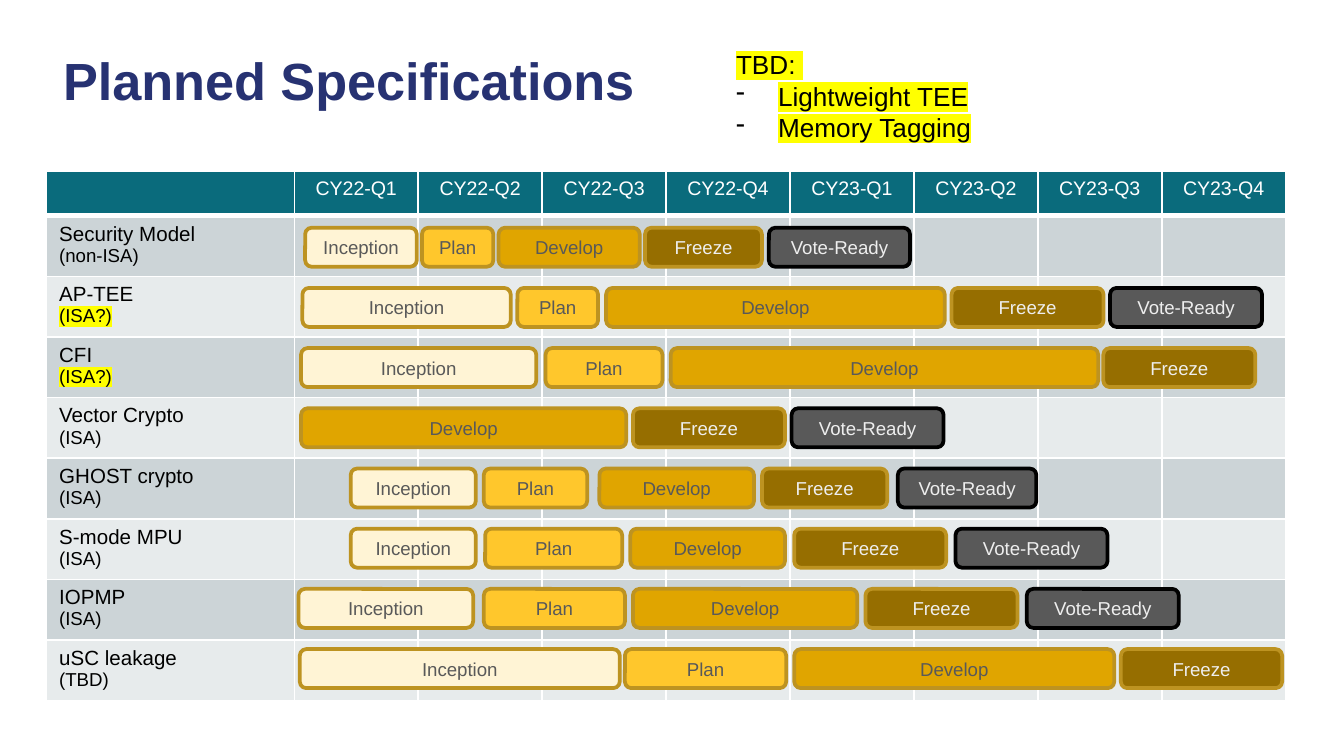
from pptx import Presentation
from pptx.dml.color import RGBColor
from pptx.enum.shapes import MSO_SHAPE as Shape
from pptx.enum.text import MSO_ANCHOR as Anchor, PP_ALIGN as Align
from pptx.oxml.ns import qn
from pptx.util import Pt
from lxml.etree import SubElement

QUARTERS = [f"CY{year}-Q{quarter}" for year in (22, 23) for quarter in range(1, 5)]
LABEL_WIDTH, QUARTER_WIDTH = 133.2, 66.4
HEADER_HEIGHT, ROW_HEIGHT = 24.2, 31.9
BAR_OFFSET, BAR_PITCH, BAR_HEIGHT = 30.5, 32.25, 20.9

STAGES = {
    "Inception": ("FFF4D5", "BD9321", "595959"),
    "Plan": ("FFC72C", "BD9321", "595959"),
    "Develop": ("E0A500", "BD9321", "595959"),
    "Freeze": ("966E00", "BD9321", "EEEEEE"),
    "Vote-Ready": ("595959", "000000", "EEEEEE"),
}

SPECIFICATIONS = [
    ("Security Model", "(non-ISA)", [
        ("Inception", 5.8, 59.8), ("Plan", 68.4, 38.2), ("Develop", 109.4, 75.6),
        ("Freeze", 187.9, 62.6), ("Vote-Ready", 254.2, 75.6)]),
    ("AP-TEE", "(ISA?)", [
        ("Inception", 4.3, 111.6), ("Plan", 119.5, 43.2), ("Develop", 167, 181.4),
        ("Freeze", 352.1, 81.4), ("Vote-Ready", 437, 81.4)]),
    ("CFI", "(ISA?)", [
        ("Inception", 3.6, 126), ("Plan", 134.6, 62.6), ("Develop", 201.6, 229),
        ("Freeze", 433.4, 81.4)]),
    ("Vector Crypto", "(ISA)", [
        ("Develop", 3.6, 174.2), ("Freeze", 181.4, 81.4), ("Vote-Ready", 266.4, 81.4)]),
    ("GHOST crypto", "(ISA)", [
        ("Inception", 30.2, 67), ("Plan", 101.5, 55.4), ("Develop", 163.4, 82.8),
        ("Freeze", 250.6, 67), ("Vote-Ready", 323.3, 74.2)]),
    ("S-mode MPU", "(ISA)", [
        ("Inception", 30.2, 67), ("Plan", 102.2, 73.4), ("Develop", 180, 82.8),
        ("Freeze", 267.8, 81.4), ("Vote-Ready", 354.2, 81.4)]),
    ("IOPMP", "(ISA)", [
        ("Inception", 2.2, 93.6), ("Plan", 101.5, 75.6), ("Develop", 181.4, 120.2),
        ("Freeze", 306, 81.4), ("Vote-Ready", 392.4, 81.4)]),
    ("uSC leakage", "(TBD)", [
        ("Inception", 2.9, 171.4), ("Plan", 177.1, 86.4), ("Develop", 267.8, 171.4),
        ("Freeze", 442.8, 86.4)]),
]


def color(value):
    """Turn a hex string into a colour."""
    return RGBColor.from_string(value)


def write(paragraph, text, size, ink="000000", bold=False, align=None, highlight=None):
    """Add formatted text to a paragraph."""
    run = paragraph.add_run()
    run.text = text
    run.font.size = Pt(size)
    run.font.bold = bold
    run.font.color.rgb = color(ink)
    if highlight:
        mark = SubElement(run.font._element, qn("a:highlight"))
        SubElement(mark, qn("a:srgbClr"), val=highlight)
    run.font.name = "Arial"
    if align is not None:
        paragraph.alignment = align


def add_dash(paragraph, indent):
    """Give a paragraph a hanging dash bullet."""
    properties = paragraph._p.get_or_add_pPr()
    properties.set("marL", str(Pt(indent)))
    properties.set("indent", str(-Pt(indent)))
    ink = SubElement(properties, qn("a:buClr"))
    SubElement(ink, qn("a:srgbClr"), val="000000")
    SubElement(properties, qn("a:buChar"), char="-")


def style_cell(cell, fill, bottom=1):
    """Set white borders and a solid fill on a cell."""
    properties = cell._tc.get_or_add_tcPr()
    for side, width in (("L", 1), ("R", 1), ("T", 1), ("B", bottom)):
        border = SubElement(properties, qn(f"a:ln{side}"), w=str(Pt(width)))
        paint = SubElement(border, qn("a:solidFill"))
        SubElement(paint, qn("a:srgbClr"), val="FFFFFF")
    cell.fill.solid()
    cell.fill.fore_color.rgb = color(fill)


def add_title(slide, left, top, width, height):
    """Place the slide title."""
    frame = slide.shapes.add_textbox(Pt(left), Pt(top), Pt(width), Pt(height)).text_frame
    frame.word_wrap = True
    frame.vertical_anchor = Anchor.MIDDLE
    frame.margin_left = frame.margin_right = Pt(5)
    frame.margin_top = frame.margin_bottom = Pt(3)
    heading = frame.paragraphs[0]
    heading.line_spacing = 0.95
    write(heading, "Planned Specifications", 28, "273272", bold=True)


def add_pending(slide, left, top, width, height):
    """Place the list of undecided topics."""
    frame = slide.shapes.add_textbox(Pt(left), Pt(top), Pt(width), Pt(height)).text_frame
    frame.word_wrap = True
    write(frame.paragraphs[0], "TBD: ", 14, highlight="FFFF00")
    for topic in ("Lightweight TEE", "Memory Tagging"):
        item = frame.add_paragraph()
        add_dash(item, 22.5)
        write(item, topic, 14, highlight="FFFF00")


def add_grid(slide, left, top, width, height):
    """Place the table of specifications and quarters."""
    grid = slide.shapes.add_table(len(SPECIFICATIONS) + 1, len(QUARTERS) + 1,
                                  Pt(left), Pt(top), Pt(width), Pt(height)).table
    for index, column in enumerate(grid.columns):
        column.width = Pt(QUARTER_WIDTH if index else LABEL_WIDTH)
    for index, row in enumerate(grid.rows):
        row.height = Pt(ROW_HEIGHT if index else HEADER_HEIGHT)
        fill = "0A6B7C" if index == 0 else "CCD4D7" if index % 2 else "E7EBEC"
        for cell in row.cells:
            style_cell(cell, fill, bottom=1 if index else 3)

    corner = grid.cell(0, 0)
    corner.margin_top = corner.margin_bottom = 0
    for index, quarter in enumerate(QUARTERS, 1):
        write(grid.cell(0, index).text_frame.paragraphs[0], quarter, 10.5, "FFFFFF",
              align=Align.CENTER)
    for index, (name, status, _) in enumerate(SPECIFICATIONS, 1):
        label = grid.cell(index, 0).text_frame
        write(label.paragraphs[0], name, 11)
        write(label.add_paragraph(), status, 10,
              highlight="FFFF00" if "?" in status else None)


def add_stage(slide, stage, left, top, width, height):
    """Place one stage bar."""
    fill, outline, ink = STAGES[stage]
    bar = slide.shapes.add_shape(Shape.ROUNDED_RECTANGLE,
                                 Pt(left), Pt(top), Pt(width), Pt(height))
    bar.shadow.inherit = False
    bar.fill.solid()
    bar.fill.fore_color.rgb = color(fill)
    bar.line.color.rgb = color(outline)
    bar.line.width = Pt(2)
    frame = bar.text_frame
    frame.vertical_anchor = Anchor.MIDDLE
    frame.margin_left = frame.margin_right = 0
    write(frame.paragraphs[0], stage, 10, ink, align=Align.CENTER)


def add_roadmap(slide, left, top, width, height):
    """Place the grid and the stage bars over it."""
    add_grid(slide, left, top, width, height)
    for index, (_, _, stages) in enumerate(SPECIFICATIONS):
        bar_top = top + BAR_OFFSET + index * BAR_PITCH
        for stage, start, length in stages:
            add_stage(slide, stage, left + LABEL_WIDTH + start, bar_top, length, BAR_HEIGHT)


def main():
    """Build and save the slide."""
    deck = Presentation()
    deck.slide_width, deck.slide_height = Pt(720), Pt(405)
    slide = deck.slides.add_slide(deck.slide_layouts[6])
    add_title(slide, 28.8, 17.3, 631.4, 54)
    add_roadmap(slide, 24.5, 91.5, LABEL_WIDTH + len(QUARTERS) * QUARTER_WIDTH,
                HEADER_HEIGHT + len(SPECIFICATIONS) * ROW_HEIGHT)
    add_pending(slide, 387.2, 22.5, 171.4, 58.3)
    deck.save("out.pptx")


if __name__ == "__main__":
    main()
